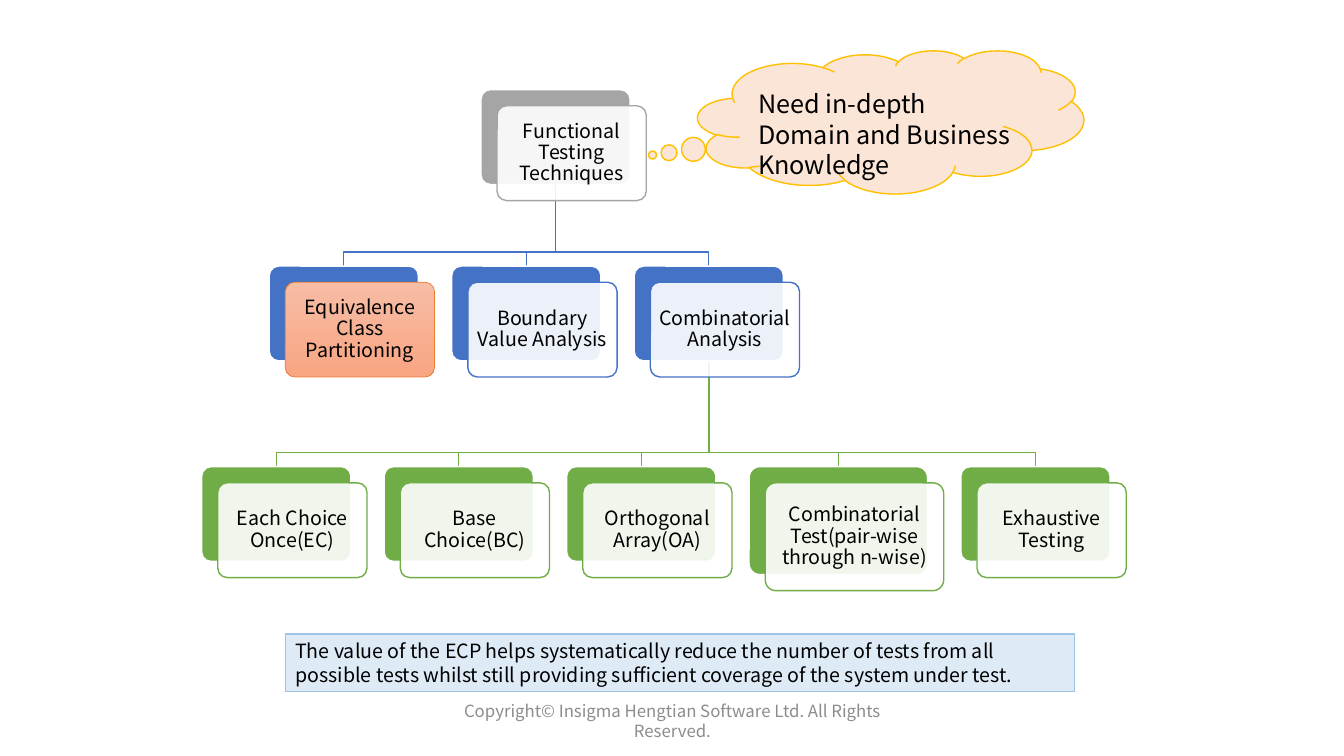
"""Build the functional testing techniques tree slide."""
from lxml import etree
from pptx import Presentation
from pptx import util as u
from pptx.dml.color import RGBColor
from pptx.enum import shapes, text
from pptx.oxml.ns import qn

I = u.Inches
W, H, GAP, OFFSET, ELBOW = 1.48, 0.94, 0.33, 0.16, 0.14
GRAY, BLUE, GREEN = "A5A5A5", "4472C4", "70AD47"


def rgb(code):
    """Return the colour for a hex string."""
    return RGBColor.from_string(code)


def lay_out(left, top, color, labels):
    """Return nodes placed side by side with equal gaps."""
    nodes = []
    for label, w, h in labels:
        nodes.append(dict(x=left, y=top, w=w, h=h, label=label, color=color))
        left += w + GAP
    return nodes


class Deck:
    """Hold the style and the current slide."""

    font = "Noto Sans CJK SC"
    ink = "000000"

    def __init__(self, prs):
        """Add a blank slide."""
        self.s = prs.slides.add_slide(prs.slide_layouts[6])

    def paint(self, sp, fill, line, width=1):
        """Set fill, outline and shadow."""
        sp.shadow.inherit = False
        if fill is None:
            sp.fill.background()
        elif isinstance(fill, tuple):
            sp.fill.gradient()
            sp.fill.gradient_angle = 270
            for stop, color in zip(sp.fill.gradient_stops, fill):
                stop.color.rgb = rgb(color)
        else:
            sp.fill.solid()
            sp.fill.fore_color.rgb = rgb(fill)
        sp.line.color.rgb = rgb(line)
        sp.line.width = u.Pt(width)

    def shape(self, kind, box, fill, line, width=1, adj=()):
        """Add a preset shape."""
        sp = self.s.shapes.add_shape(kind, *map(I, box))
        for i, value in enumerate(adj):
            sp.adjustments[i] = value
        self.paint(sp, fill, line, width)
        return sp

    def label(self, sp, words, size, color=ink, frame=None, para=None):
        """Put one formatted paragraph into a shape."""
        tf = sp.text_frame
        p = tf.paragraphs[0]
        r = p.add_run()
        r.text = words
        r.font.color.rgb = rgb(color)
        formats = (
            (tf, {"word_wrap": True, "vertical_anchor": text.MSO_ANCHOR.TOP, **(frame or {})}),
            (p, {"alignment": text.PP_ALIGN.LEFT, **(para or {})}),
            (r.font, {"size": u.Pt(size), "name": self.font}),
        )
        for target, values in formats:
            for name, value in values.items():
                setattr(target, name, value)

    def textbox(self, box, words, size, **style):
        """Add a text box."""
        self.label(self.s.shapes.add_textbox(*map(I, box)), words, size, **style)

    def link(self, parent, child):
        """Draw an elbow line from a parent to a child."""
        x1, y1 = parent["x"] + parent["w"] / 2, parent["y"] + parent["h"]
        x2, y2 = child["x"] + child["w"] / 2, child["y"]
        bend = y2 - ELBOW
        fb = self.s.shapes.build_freeform(I(x1), I(y1))
        points = [(x1, bend), (x2, bend), (x2, y2)]
        fb.add_line_segments([(I(x), I(y)) for x, y in points], close=False)
        self.paint(fb.convert_to_shape(), None, child["color"])

    def node(self, x, y, w, h, label, color, fill=None):
        """Draw a back plate and a labelled front card."""
        kind = shapes.MSO_SHAPE.ROUNDED_RECTANGLE
        self.shape(kind, (x, y, w, h), color, "FFFFFF", adj=[0.1])
        box = (x + OFFSET, y + OFFSET, w, h)
        if fill:
            sp = self.shape(kind, box, fill, "ED7D31", 0.5, [0.1])
        else:
            sp = self.shape(kind, box, "FFFFFF", color, adj=[0.1])
            clr = sp.element.spPr.find(qn("a:solidFill")).find(qn("a:srgbClr"))
            etree.SubElement(clr, qn("a:alpha")).set("val", "90000")
        sides = ("left", "right", "top", "bottom")
        frame = {f"margin_{side}": I(0.05) for side in sides}
        frame["vertical_anchor"] = text.MSO_ANCHOR.MIDDLE
        para = {"alignment": text.PP_ALIGN.CENTER, "line_spacing": 0.9}
        self.label(sp, label, 14, frame=frame, para=para)


def main():
    """Build and save the slide."""
    prs = Presentation()
    prs.slide_width, prs.slide_height = I(13.33), I(7.5)
    deck = Deck(prs)

    root = lay_out(4.77, 0.89, GRAY, [("Functional Testing Techniques", W, H)])
    techniques = lay_out(2.67, 2.64, BLUE, [
        ("Equivalence Class Partitioning", W, H),
        ("Boundary Value Analysis", W, H),
        ("Combinatorial Analysis", W, H),
    ])
    techniques[0]["fill"] = ("F7BDA5", "F8A582")
    choices = lay_out(2, 4.63, GREEN, [
        ("Each Choice Once(EC)", W, H),
        ("Base Choice(BC)", W, H),
        ("Orthogonal Array(OA)", W, H),
        ("Combinatorial Test(pair-wise through n-wise)", 1.77, 1.07),
        ("Exhaustive Testing", W, H),
    ])
    for parent, children in ((techniques[-1], choices), (root[0], techniques)):
        for child in children:
            deck.link(parent, child)
    for node in root + techniques + choices:
        deck.node(**node)

    deck.shape(shapes.MSO_SHAPE.CLOUD_CALLOUT, (6.92, 0.5, 3.83, 1.42),
               "FBE5D6", "FFC000", adj=[-0.617, 0.231])
    deck.textbox((7.42, 0.83, 2.83, 1.01),
                 "Need in-depth Domain and Business Knowledge", 18)
    note = deck.shape(shapes.MSO_SHAPE.RECTANGLE, (2.83, 6.29, 7.83, 0.57),
                      "DEEBF7", "9DC3E6")
    deck.label(note, "The value of the ECP helps systematically reduce the number of "
               "tests from all possible tests whilst still providing sufficient "
               "coverage of the system under test.", 14)
    deck.textbox((4.42, 6.95, 4.5, 0.4),
                 "Copyright© Insigma Hengtian Software Ltd. All Rights Reserved.",
                 12, color="8C8C8C",
                 frame={"vertical_anchor": text.MSO_ANCHOR.MIDDLE},
                 para={"alignment": text.PP_ALIGN.CENTER})
    prs.save("out.pptx")


if __name__ == "__main__":
    main()
